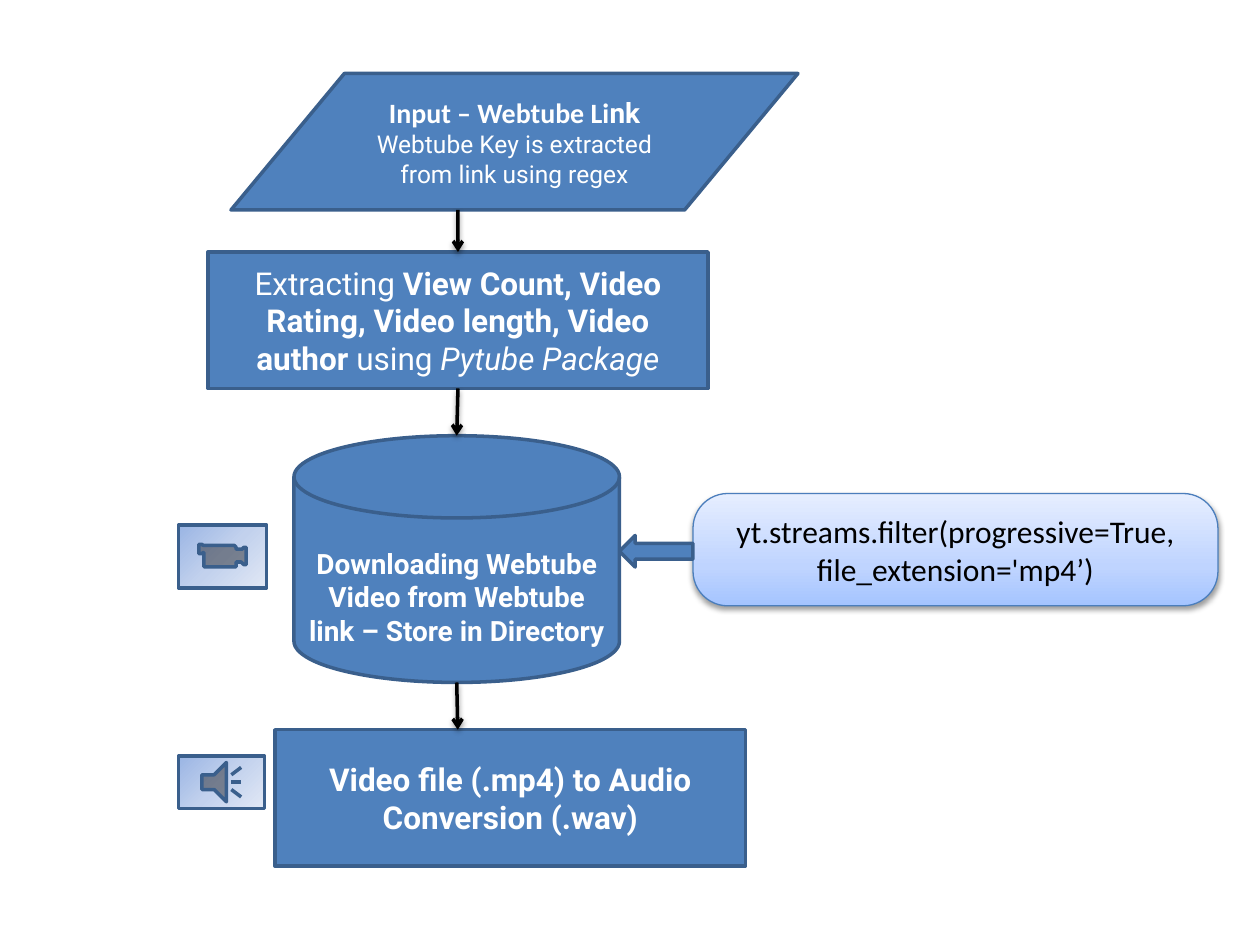
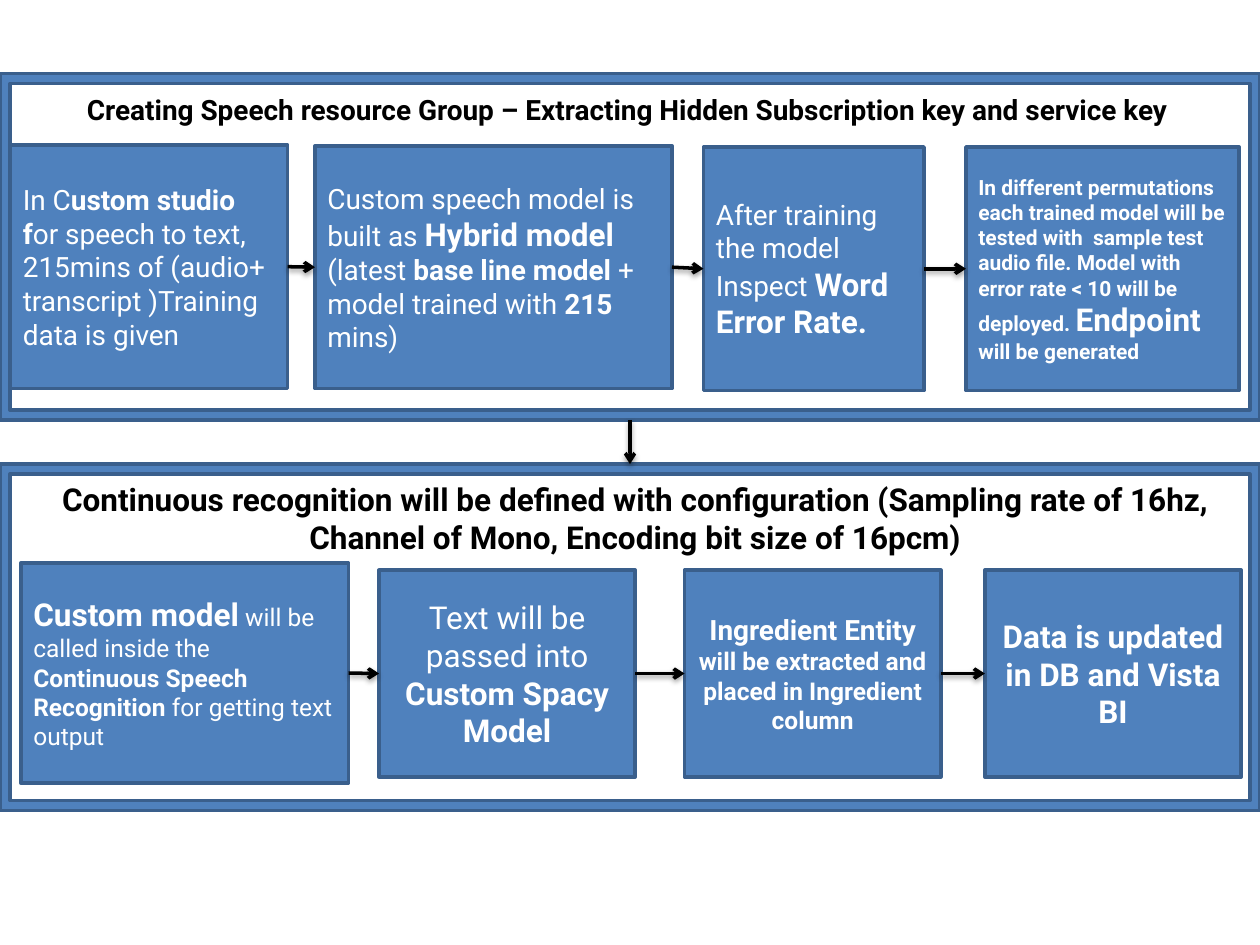
from itertools import pairwise

from lxml import etree
from pptx import Presentation
from pptx import util as u
from pptx.dml.color import RGBColor
from pptx.enum import shapes, text
from pptx.oxml import ns

WHITE = RGBColor(0xFF, 0xFF, 0xFF)
BLACK = RGBColor(0, 0, 0)
BLUE = RGBColor(0x4F, 0x81, 0xBD)
NAVY = RGBColor(0x3A, 0x5F, 0x8C)
SKY = RGBColor(0x4B, 0x7E, 0xBC)
CALLOUT_FADE = ((0, RGBColor(0xA4, 0xC4, 0xFF)), (35, RGBColor(0xBF, 0xD4, 0xFF)),
                (100, RGBColor(0xE6, 0xEE, 0xFF)))
ICON_FADE = ((0, RGBColor(0x9A, 0xB5, 0xE4)), (50, RGBColor(0xC2, 0xD1, 0xED)),
             (100, RGBColor(0xE1, 0xE8, 0xF5)))

KIND = shapes.MSO_SHAPE
LEFT, CENTER = text.PP_ALIGN.LEFT, text.PP_ALIGN.CENTER
TOP_SIDE, LEFT_SIDE, BOTTOM_SIDE, RIGHT_SIDE = range(4)
COLUMNS, ROWS = 120, 90


def child(parent, tag, **attributes):
    return etree.SubElement(parent, ns.qn(tag), {k: str(v) for k, v in attributes.items()})


class FlowDeck:
    def __init__(self):
        self.deck = Presentation()
        self.deck.slide_width, self.deck.slide_height = u.Inches(10), u.Inches(7.5)
        self.page = None

    def new_page(self):
        self.page = self.deck.slides.add_slide(self.deck.slide_layouts[6])

    def grid(self, *cells):
        steps = (self.deck.slide_width / COLUMNS, self.deck.slide_height / ROWS)
        return [u.Emu(round(cell * steps[i % 2])) for i, cell in enumerate(cells)]

    def add_text(self, box, paragraphs, color, align):
        frame = box.text_frame
        frame.word_wrap = True
        for i, spans in enumerate(paragraphs):
            para = frame.paragraphs[0] if i == 0 else frame.add_paragraph()
            para.alignment = align
            for words, size, style, *font in spans:
                span = para.add_run()
                span.text = words
                span.font.name = font[0] if font else "Roboto"
                span.font.size = u.Pt(size)
                span.font.bold = "b" in style
                span.font.italic = "i" in style
                span.font.color.rgb = color

    def shape(self, kind, cells, *paragraphs, align=CENTER, color=WHITE, adjust=None):
        box = self.page.shapes.add_shape(kind, *self.grid(*cells))
        box.shadow.inherit = False
        box.fill.solid()
        box.fill.fore_color.rgb = BLUE
        box.line.color.rgb = NAVY
        box.line.width = u.Pt(2)
        if adjust is not None:
            box.adjustments[0] = adjust
        if paragraphs:
            box.text_frame.vertical_anchor = text.MSO_ANCHOR.MIDDLE
            self.add_text(box, paragraphs, color, align)
        return box

    def heading(self, cells, words, size):
        box = self.page.shapes.add_textbox(*self.grid(*cells))
        self.add_text(box, [[(words, size, "b")]], BLACK, CENTER)
        box.text_frame.auto_size = text.MSO_AUTO_SIZE.SHAPE_TO_FIT_TEXT

    def fade(self, box, stops, angle):
        box.fill.gradient()
        box.fill.gradient_angle = angle
        stop_list = next(box._element.spPr.iter(ns.qn("a:gsLst")))
        for stop in list(stop_list):
            stop_list.remove(stop)
        for percent, color in stops:
            child(child(stop_list, "a:gs", pos=percent * 1000), "a:srgbClr", val=color)

    def soft_shadow(self, item):
        properties = item._element.spPr
        effects = properties.find(ns.qn("a:effectLst"))
        if effects is None:
            effects = child(properties, "a:effectLst")
        shadow = child(effects, "a:outerShdw", blurRad=u.Pt(3.1), dist=u.Pt(1.6),
                       dir=5400000, rotWithShape=0)
        child(child(shadow, "a:srgbClr", val=BLACK), "a:alpha", val=38000)

    def arrow(self, start, end):
        is_point = [isinstance(place[0], (int, float)) for place in (start, end)]
        first = self.grid(*start) if is_point[0] else (0, 0)
        last = self.grid(*end) if is_point[1] else (0, 0)
        line = self.page.shapes.add_connector(shapes.MSO_CONNECTOR.STRAIGHT, *first, *last)
        if not is_point[0]:
            line.begin_connect(*start)
        if not is_point[1]:
            line.end_connect(*end)
        line.line.color.rgb = BLACK
        line.line.width = u.Pt(2)
        child(line._element.spPr.find(ns.qn("a:ln")), "a:tailEnd", type="arrow")
        self.soft_shadow(line)

    def chain(self, boxes):
        for before, after in pairwise(boxes):
            self.arrow((before, RIGHT_SIDE), (after, LEFT_SIDE))

    def panel(self, row):
        return self.shape(KIND.FRAME, (0, row, 120, 33), adjust=0.029)


def build_download_page(flow):
    flow.new_page()
    extract = flow.shape(
        KIND.RECTANGLE, (19.8, 24, 47.64, 13),
        [("Extracting ", 18, ""),
         ("View Count, Video Rating, Video length, Video author", 18, "b"),
         (" using ", 18, ""), ("Pytube Package", 18, "i")])
    flow.shape(
        KIND.FLOWCHART_DATA, (22, 7, 54, 13),
        [("Input – Webtube Li", 16, "b", "Calibri"), ("nk", 16, "b")],
        [("Webtube Key is extracted from link using regex", 14, "")])
    store = flow.shape(
        KIND.FLOWCHART_MAGNETIC_DISK, (28, 41.5, 31, 23.5),
        [("Downloading Webtube Video from Webtube link – Store in Directory", 16, "b")])
    store.text_frame.margin_top = u.Inches(0.32)
    flow.shape(KIND.RECTANGLE, (26.2, 69.5, 44.8, 13),
               [("Video file (.mp4) to Audio Conversion (.wav)", 18, "b")])

    flow.arrow((43.6, 20), (extract, TOP_SIDE))
    flow.arrow((extract, BOTTOM_SIDE), (43.5, 41.5))
    flow.arrow((43.5, 65), (43.6, 69.5))

    callout = flow.shape(
        KIND.ROUNDED_RECTANGLE, (66, 47, 50, 10.7),
        [("yt.streams.filter(progressive=True, file_extension='mp4’)", 18, "", "Calibri")],
        color=BLACK, adjust=0.31)
    flow.fade(callout, CALLOUT_FADE, 90)
    callout.line.color.rgb = SKY
    callout.line.width = u.Pt(0.75)
    flow.soft_shadow(callout)
    flow.shape(KIND.LEFT_ARROW, (59, 51, 7, 3))

    for kind, cells in ((KIND.ACTION_BUTTON_MOVIE, (17, 50, 8.4, 6)),
                        (KIND.ACTION_BUTTON_SOUND, (17, 72, 8.2, 5))):
        flow.fade(flow.shape(kind, cells), ICON_FADE, 315)


def build_recognition_page(flow):
    flow.new_page()
    training_steps = (
        ((1, 13.8, 26.4, 23.2),
         [("In C", 16, ""), ("ustom studio f", 16, "b"),
          ("or speech to text, 215mins of (audio+ transcript )Training data is given", 16, "")]),
        ((30, 13.9, 34, 23.1),
         [("Custom speech model is built as ", 16, ""), ("Hybrid model", 18, "b"),
          (" (latest ", 16, ""), ("base line model ", 16, "b"),
          ("+ model trained with ", 16, ""), ("215 ", 16, "b"), ("mins)", 16, "")]),
        ((67, 14, 21, 23.2),
         [("After training the model Inspect ", 16, ""), ("Word Error Rate.", 18, "b")]),
        ((92, 14, 26, 23.2),
         [("In different permutations each trained model will be tested with  sample test "
           "audio file. Model with error rate < 10 will be deployed. ", 12, "b"),
          ("Endpoint", 18, "b"), (" will be generated", 12, "b")]))
    training = [flow.shape(KIND.RECTANGLE, cells, spans, align=LEFT)
                for cells, spans in training_steps]
    training_panel = flow.panel(7)
    flow.heading((0.4, 8.2, 118.7, 4.4),
                 "Creating Speech resource Group – Extracting Hidden Subscription key "
                 "and service key", 16)
    flow.chain(training)

    recognition_panel = flow.panel(44.2)
    flow.heading((2, 45.1, 117, 8.5),
                 "Continuous recognition will be defined with configuration (Sampling rate "
                 "of 16hz, Channel of Mono, Encoding bit size of 16pcm)", 18)
    recognition = [flow.shape(
        KIND.RECTANGLE, (2, 53.6, 31.2, 21),
        [("Custom model", 18, "b"), (" will be called inside the ", 14, ""),
         ("Continuous Speech Recognition ", 14, "b"), ("for getting text output", 14, "")],
        align=LEFT)]
    result_steps = (
        (36.1, [("Text will be passed into ", 18, ""), ("Custom Spacy Model", 18, "b")]),
        (65.2, [("Ingredient Entity ", 16, "b"),
                ("will be extracted and placed in Ingredient column", 14, "b")]),
        (93.8, [("Data is updated in DB and Vista BI", 18, "b")]))
    recognition += [flow.shape(KIND.RECTANGLE, (column, 54.3, 24.4, 19.7), spans)
                    for column, spans in result_steps]
    flow.chain(recognition)
    flow.arrow((training_panel, BOTTOM_SIDE), (recognition_panel, TOP_SIDE))


def main():
    flow = FlowDeck()
    build_download_page(flow)
    build_recognition_page(flow)
    flow.deck.save("out.pptx")


if __name__ == "__main__":
    main()
